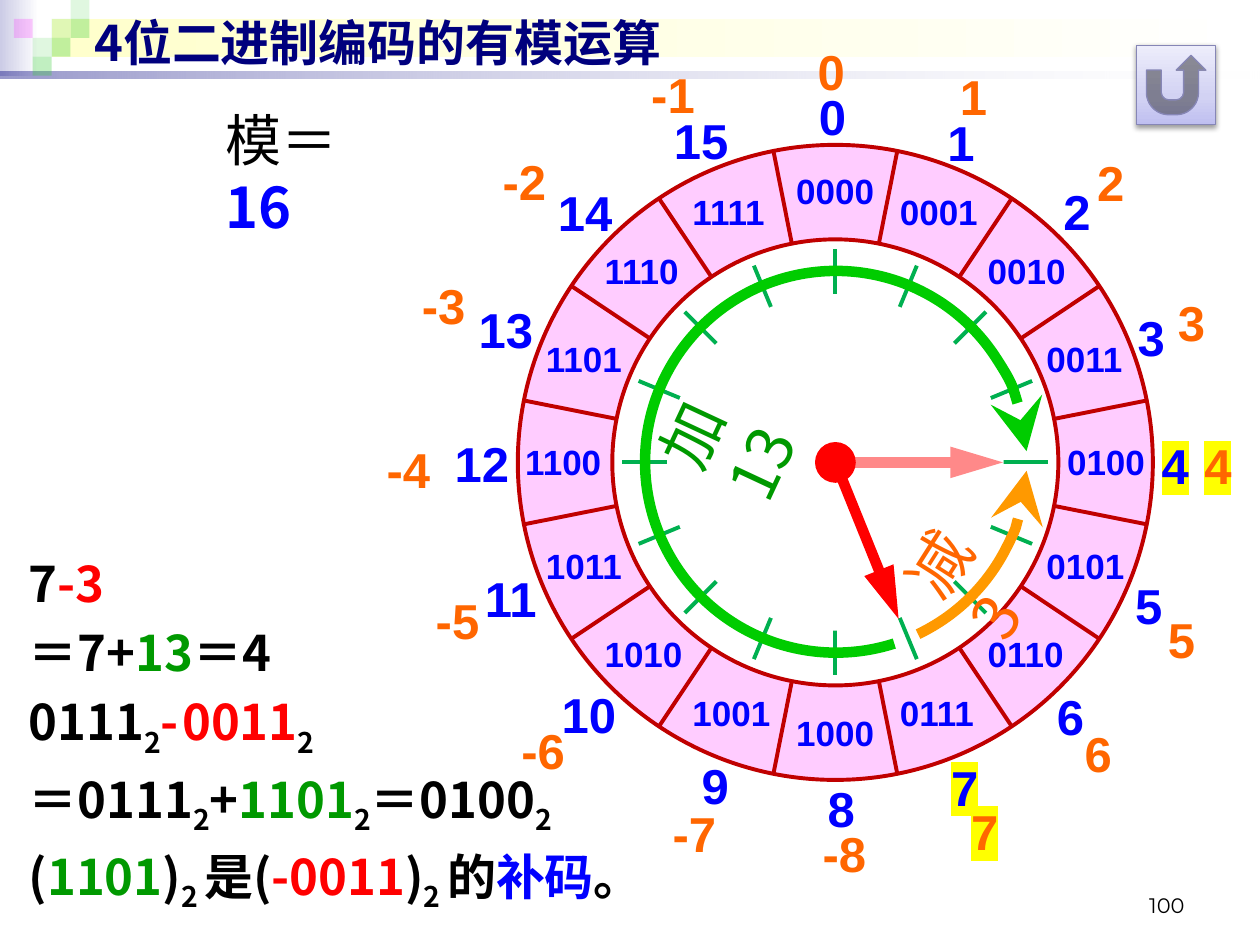
from math import cos, radians, sin

from lxml import etree
from pptx import Presentation
from pptx.dml.color import RGBColor
from pptx.enum import shapes, text
from pptx.oxml.ns import qn
from pptx.util import Inches, Pt

NAVY = RGBColor(0x00, 0x00, 0x7D)
BLACK = RGBColor(0x00, 0x00, 0x00)
WHITE = RGBColor(0xFF, 0xFF, 0xFF)
BLUE = RGBColor(0x00, 0x00, 0xFF)
RED = RGBColor(0xFF, 0x00, 0x00)
PALE_RED = RGBColor(0xFF, 0x89, 0x89)
DARK_RED = RGBColor(0xC0, 0x00, 0x00)
PINK = RGBColor(0xFF, 0xCC, 0xFF)
MAGENTA = RGBColor(0xFF, 0x00, 0xFF)
GREEN = RGBColor(0x00, 0x99, 0x00)
ARC_GREEN = RGBColor(0x00, 0xCC, 0x00)
TICK_GREEN = RGBColor(0x00, 0xB0, 0x50)
TILE_GREEN = RGBColor(0x33, 0xCC, 0x33)
ORANGE = RGBColor(0xFF, 0x66, 0x00)
ARC_ORANGE = RGBColor(0xFF, 0x99, 0x00)
LAVENDER = RGBColor(0xCC, 0xCC, 0xE6)
CREAM = RGBColor(0xFF, 0xFF, 0xCC)
BUTTON_EDGE = RGBColor(0x86, 0x86, 0xB6)
BUTTON_DARK = RGBColor(0xBF, 0xBF, 0xF0)
BUTTON_MIDDLE = RGBColor(0xD2, 0xD2, 0xF3)
BUTTON_LIGHT = RGBColor(0xED, 0xED, 0xFB)
YELLOW = RGBColor(0xFF, 0xFF, 0x00)

HAN = "Noto Sans CJK SC"
CENTER_X, CENTER_Y = 6.63, 3.67
SHAPE = shapes.MSO_SHAPE

presentation = Presentation()
presentation.slide_width, presentation.slide_height = Inches(10), Inches(7.5)
slide = presentation.slides.add_slide(presentation.slide_layouts[6])


def add_text(box, paragraphs, size, font=HAN, bold=True, wrap=True, highlight=None):
    """Add a text box; each paragraph lists (text, colour, baseline %, own size) runs."""
    shape = slide.shapes.add_textbox(*map(Inches, box))
    shape.text_frame.word_wrap = wrap
    for index, runs in enumerate(paragraphs):
        frame = shape.text_frame
        paragraph = frame.add_paragraph() if index else frame.paragraphs[0]
        for words, colour, *extra in runs:
            run = paragraph.add_run()
            run.text = words
            run.font.size = Pt(extra[1] if len(extra) > 1 else size)
            run.font.bold = bold
            run.font.color.rgb = colour
            run.font.name = font
            properties = run.font._element
            latin = properties.find(qn("a:latin"))
            east_asian = etree.Element(qn("a:ea"), typeface=font)
            latin.addnext(east_asian)
            if highlight:
                mark = etree.Element(qn("a:highlight"))
                etree.SubElement(mark, qn("a:srgbClr"), val=str(highlight))
                latin.addprevious(mark)
            if extra and extra[0]:
                properties.set("baseline", str(extra[0] * 1000))
    return shape


def add_line(start_radius, end_radius, angle, colour, width):
    """Add a line through the dial centre's direction, clockwise from three o'clock."""
    x, y = cos(radians(angle)), sin(radians(angle))
    line = slide.shapes.add_connector(
        shapes.MSO_CONNECTOR.STRAIGHT,
        Inches(CENTER_X + start_radius * x), Inches(CENTER_Y + start_radius * y),
        Inches(CENTER_X + end_radius * x), Inches(CENTER_Y + end_radius * y))
    line.line.color.rgb = colour
    line.line.width = Pt(width)
    etree.SubElement(line.element.spPr, qn("a:effectLst"))
    return line


# Header band and return button: stops are (position %, colour, opacity %)
gradients = [
    (SHAPE.RECTANGLE, (0, 0, 0.31, 0.6), 0, [(0, LAVENDER, 100), (100, WHITE, 100)]),
    (SHAPE.RECTANGLE, (0.41, 0.15, 9.55, 0.3), 0, [(0, CREAM, 100), (100, WHITE, 100)]),
    (SHAPE.RECTANGLE, (0, 0.57, 10, 0.05), 0, [(0, NAVY, 40), (100, WHITE, 10)]),
    (SHAPE.ACTION_BUTTON_RETURN, (9.02, 0.36, 0.63, 0.63), 90,
     [(0, BUTTON_DARK, 100), (35, BUTTON_MIDDLE, 100), (100, BUTTON_LIGHT, 100)]),
]
for kind, box, angle, stops in gradients:
    button = slide.shapes.add_shape(kind, *map(Inches, box))
    button.shadow.inherit = False
    button.line.fill.background()
    button.fill.gradient()
    button.fill.gradient_angle = angle
    stop_list = button.element.spPr.find(qn("a:gradFill")).find(qn("a:gsLst"))
    for old_stop in list(stop_list):
        stop_list.remove(old_stop)
    for position, colour, opacity in stops:
        stop = etree.SubElement(stop_list, qn("a:gs"), pos=str(position * 1000))
        tint = etree.SubElement(stop, qn("a:srgbClr"), val=str(colour))
        etree.SubElement(tint, qn("a:alpha"), val=str(opacity * 1000))
button.line.color.rgb = BUTTON_EDGE
button.line.width = Pt(0.75)
shadow = etree.SubElement(
    button.element.spPr.find(qn("a:effectLst")), qn("a:outerShdw"),
    blurRad=str(Pt(3.1)), dist=str(Pt(1.6)), dir="5400000", rotWithShape="0")
shadow_colour = etree.SubElement(shadow, qn("a:srgbClr"), val=str(BLACK))
etree.SubElement(shadow_colour, qn("a:alpha"), val="38000")

tiles = [(2, 1, TILE_GREEN, 15), (3, 0, TILE_GREEN, 15), (3, 1, TILE_GREEN, 30),
         (1, 2, TILE_GREEN, 15), (0, 1, MAGENTA, 20), (2, 2, TILE_GREEN, 30),
         (1, 3, TILE_GREEN, 30)]
for column, row, colour, opacity in tiles:
    tile = slide.shapes.add_shape(
        SHAPE.RECTANGLE, Inches(0.11 + 0.15 * column), Inches(0.15 * row),
        Inches(0.15), Inches(0.15))
    tile.shadow.inherit = False
    tile.line.fill.background()
    tile.fill.solid()
    tile.fill.fore_color.rgb = colour
    tint = tile.element.spPr.find(qn("a:solidFill"))[0]
    etree.SubElement(tint, qn("a:alpha"), val=str(opacity * 1000))

title = add_text((0.65, 0.05, 9, 0.57), [[("4位二进制编码的有模运算", NAVY)]], 28)
title.text_frame.vertical_anchor = text.MSO_ANCHOR.MIDDLE

equations = add_text((0.13, 4.34, 5.79, 2.92), [
    [("7", BLACK), ("-3", RED)],
    [("＝7+", BLACK), ("13", GREEN), ("＝4", BLACK)],
    [("0111", BLACK), ("2", BLACK, -25), ("-", RED), (" ", RED, 0, 8), ("0011", RED),
     ("2", BLACK, -25)],
    [("＝0111", BLACK), ("2", BLACK, -25), ("+", BLACK), ("1101", GREEN),
     ("2", BLACK, -25), ("＝0100", BLACK), ("2", BLACK, -25)],
    [("(", BLACK), ("1101", GREEN), (")", BLACK), ("2 ", BLACK, -25), ("是(", BLACK),
     ("-0011", RED), (")", BLACK), ("2 ", BLACK, -25), ("的", BLACK), ("补码", BLUE),
     ("。", BLACK)],
], 28)
for paragraph in equations.text_frame.paragraphs[1:]:
    paragraph.space_before = Pt(6)

# Dial: discs from the outside in, the outer two each crossed by eight diameters
discs = [(2.52, PINK, DARK_RED, 2.52, 11.25, DARK_RED),
         (1.77, WHITE, DARK_RED, 1.69, 0, TICK_GREEN),
         (1.335, WHITE, None, None, None, None),
         (0.155, RED, RED, None, None, None)]
for radius, fill, edge, reach, first_angle, spoke_colour in discs:
    if fill == RED:
        for angle, colour, length in [(68, RED, 1.34), (0, PALE_RED, 1.33)]:
            hand = add_line(0, length, angle, colour, 6)
            etree.SubElement(hand.element.spPr.find(qn("a:ln")), qn("a:tailEnd"),
                             type="triangle", w="med", len="lg")
    disc = slide.shapes.add_shape(
        SHAPE.OVAL, Inches(CENTER_X - radius), Inches(CENTER_Y - radius),
        Inches(2 * radius), Inches(2 * radius))
    disc.shadow.inherit = False
    disc.fill.solid()
    disc.fill.fore_color.rgb = fill
    if edge:
        disc.line.color.rgb = edge
        disc.line.width = Pt(1 if fill == RED else 2.25)
    else:
        disc.line.fill.background()
    if reach:
        for step in range(8):
            add_line(-reach, reach, first_angle + 22.5 * step, spoke_colour, 2.25)

arcs = [(63.12, 17.88, ARC_GREEN, "tailEnd"), (21.42, 58.52, ARC_ORANGE, "headEnd")]
for start, end, colour, arrow_end in arcs:
    arc = slide.shapes.add_shape(
        SHAPE.ARC, Inches(5.12), Inches(2.15), Inches(3.03), Inches(3.03))
    arc.rotation = 327
    arc.adjustments[0], arc.adjustments[1] = start, end
    arc.shadow.inherit = False
    arc.fill.background()
    arc.line.color.rgb = colour
    arc.line.width = Pt(6)
    etree.SubElement(arc.element.spPr.find(qn("a:ln")), qn(f"a:{arrow_end}"),
                     type="stealth", w="lg", len="lg")

# Codes, unsigned values and signed values around the dial
unsigned_places = [
    (6.4, 0.64), (7.42, 0.84), (8.34, 1.39), (8.93, 2.39), (9.12, 3.41), (8.91, 4.52),
    (8.29, 5.4), (7.45, 5.96), (6.47, 6.13), (5.47, 5.95), (4.36, 5.38), (3.75, 4.46),
    (3.51, 3.39), (3.7, 2.33), (4.33, 1.4), (5.25, 0.83)]
signed_places = [
    (6.39, 0.28), (7.52, 0.48), (8.61, 1.16), (9.25, 2.27), (9.46, 3.41), (9.17, 4.79),
    (8.51, 5.69), (7.61, 6.31), (6.43, 6.49), (5.24, 6.33), (4.04, 5.67), (3.36, 4.64),
    (2.97, 3.44), (3.25, 2.14), (3.89, 1.15), (5.07, 0.46)]
for value, (unsigned, signed) in enumerate(zip(unsigned_places, signed_places)):
    angle = radians(22.5 * value - 90)
    code_box = (CENTER_X + 2.15 * cos(angle) - 0.41, CENTER_Y + 2.15 * sin(angle) - 0.22,
                0.82, 0.44)
    add_text(code_box, [[(f"{value:04b}", BLUE)]], 20, "Arial", wrap=False)
    mark = YELLOW if value in (4, 7) else None
    add_text((*unsigned, 0.42 if value < 10 else 0.64, 0.57), [[(str(value), BLUE)]],
             28, "Arial", wrap=False, highlight=mark)
    signed_value = value if value < 8 else value - 16
    add_text((*signed, 0.42 if value < 8 else 0.55, 0.57), [[(str(signed_value), ORANGE)]],
             28, "Arial", wrap=False, highlight=mark)

add_label = add_text((4.99, 2.86, 1.21, 0.71), [[("加13", GREEN)]], 36, bold=False)
add_label.rotation = 295
subtract_label = add_text((7.04, 4.01, 0.96, 0.71), [[("减3", ORANGE)]], 36, bold=False)
subtract_label.rotation = 302.3

modulus = add_text((1.69, 0.79, 1.55, 0.64), [[("模＝", BLACK), ("16", BLUE)]], 32, bold=False)
modulus.text_frame.paragraphs[0].runs[1].font.bold = True

page_number = add_text((7.17, 6.83, 2.33, 0.5), [[("100", BLACK)]], 12, "Montserrat", bold=False)
page_number.text_frame.vertical_anchor = text.MSO_ANCHOR.BOTTOM
page_number.text_frame.paragraphs[0].alignment = text.PP_ALIGN.RIGHT

presentation.save("out.pptx")
